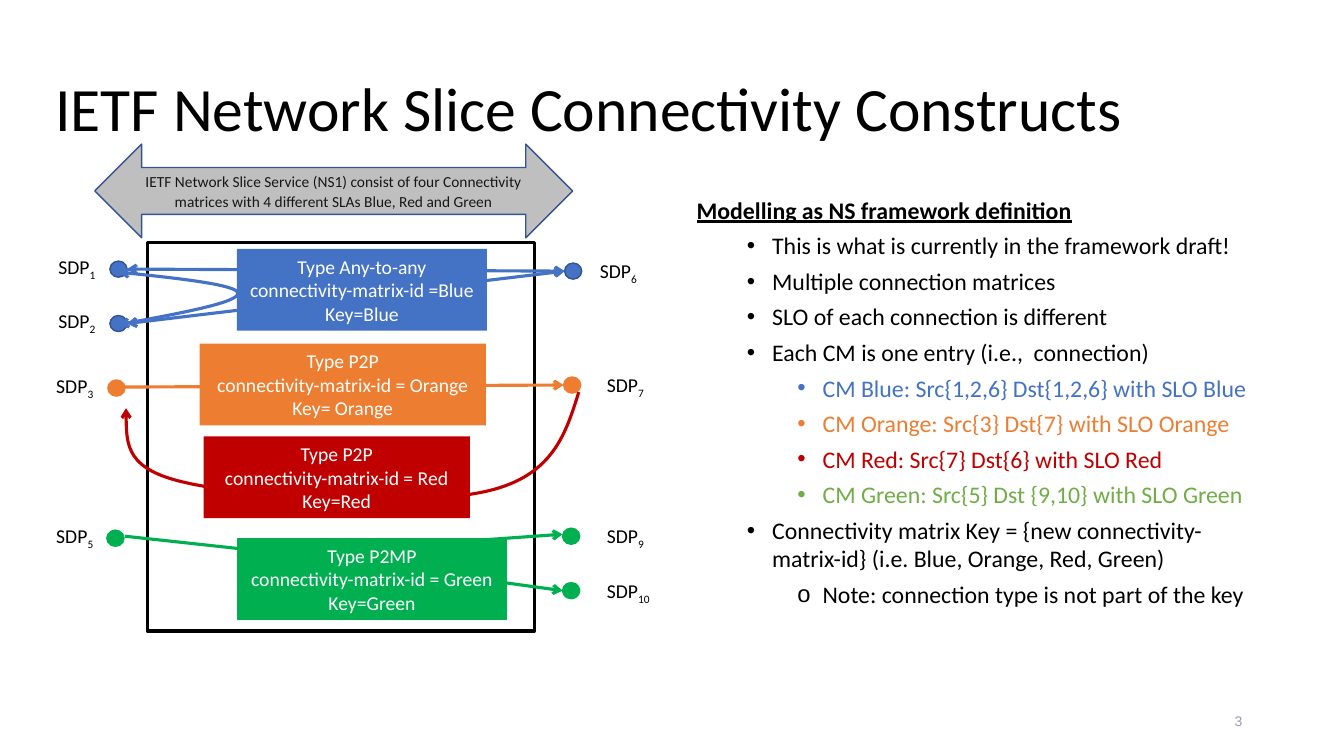
import pptx
import pptx.util
import pptx.dml.color
import pptx.enum.shapes
import pptx.enum.text
import pptx.oxml
import pptx.oxml.ns

Inches, Pt = pptx.util.Inches, pptx.util.Pt
SHAPE = pptx.enum.shapes.MSO_SHAPE
ALIGN = pptx.enum.text.PP_ALIGN
ANCHOR = pptx.enum.text.MSO_ANCHOR
qn = pptx.oxml.ns.qn

COLORS = {
    "black": "000000", "white": "FFFFFF", "number": "969EB3",
    "arrow": "BFBFBF", "arrow text": "181717", "navy": "325491",
    "blue": "4472C4", "orange": "ED7D31", "red": "C00000",
    "green": "00B050", "light green": "70AD47",
}
TITLE = "IETF Network Slice Connectivity Constructs"
SERVICE = ("IETF Network Slice Service (NS1) consist of four Connectivity "
           "matrices with 4 different SLAs Blue, Red and Green")
PAGE = "3"
HEADING = "Modelling as NS framework definition"
BULLETS = [
    (1, "•", "black", "This is what is currently in the framework draft!"),
    (1, "•", "black", "Multiple connection matrices"),
    (1, "•", "black", "SLO of each connection is different"),
    (1, "•", "black", "Each CM is one entry (i.e.,  connection)"),
    (2, "•", "blue", "CM Blue: Src{1,2,6} Dst{1,2,6} with SLO Blue"),
    (2, "•", "orange", "CM Orange: Src{3} Dst{7} with SLO Orange"),
    (2, "•", "red", "CM Red: Src{7} Dst{6} with SLO Red"),
    (2, "•", "light green", "CM Green: Src{5} Dst {9,10} with SLO Green"),
    (1, "•", "black", "Connectivity matrix Key = {new connectivity-matrix-id} "
                      "(i.e. Blue, Orange, Red, Green)"),
    (2, "o", "black", "Note: connection type is not part of the key"),
]
SDPS = [
    ("1", "blue", "navy", 1.09, 2.59, 0.48),
    ("2", "blue", "navy", 1.09, 3.13, 0.48),
    ("3", "orange", "orange", 1.07, 3.77, 0.46),
    ("7", "orange", "orange", 5.59, 3.74, 5.92),
    ("6", "blue", "navy", 5.6, 2.61, 5.85),
    ("5", "green", "green", 1.06, 5.26, 0.46),
    ("9", "green", "green", 5.58, 5.24, 5.92),
    ("10", "green", "green", 5.58, 5.78, 5.92),
]
LINKS = [
    ("blue", (1.26, 2.67), (5.6, 2.69), ("headEnd", "tailEnd")),
    ("blue", (1.26, 3.21), (5.6, 2.69), ("headEnd", "tailEnd")),
    ("orange", (1.24, 3.84), (5.59, 3.82), ("tailEnd",)),
    ("green", (2.9, 5.49), (5.58, 5.3), ("tailEnd",)),
    ("green", (2.9, 5.49), (5.58, 5.86), ("tailEnd",)),
    ("green", (1.24, 5.32), (2.9, 5.5), ()),
]
RED_CURVE = [(5.74, 3.89), (5.61, 4.31), (5.48, 4.72), (4.84, 4.87),
             (4.19, 5.03), (2.45, 4.93), (1.85, 4.79),
             (1.25, 4.66), (1.25, 4.35), (1.25, 4.05)]
BLUE_CURVE = [(1.18, 3.22), (1.77, 3.11), (2.36, 3), (2.36, 2.91),
              (2.36, 2.83), (1.77, 2.76), (1.18, 2.7)]
MATRICES = [
    ("blue", None, 2.35, 2.47, 2.48,
     ["Type Any-to-any", "connectivity-matrix-id =Blue", "Key=Blue"]),
    ("orange", None, 1.98, 3.41, 2.84,
     ["Type P2P", "connectivity-matrix-id = Orange", "Key= Orange"]),
    ("green", "green", 2.36, 5.34, 2.66,
     ["Type P2MP", "connectivity-matrix-id = Green", "Key=Green"]),
    ("red", None, 2.02, 4.33, 2.64,
     ["Type P2P", "connectivity-matrix-id = Red", "Key=Red"]),
]

prs = pptx.Presentation()
prs.slide_width, prs.slide_height = Inches(13.33), Inches(7.5)
slide = prs.slides.add_slide(prs.slide_layouts[6])


def rgb(name):
    return pptx.dml.color.RGBColor.from_string(COLORS[name])


def add_run(p, text, size, color, font="Calibri"):
    r = p.add_run()
    r.text = text
    r.font.size, r.font.name = Pt(size), font
    r.font.color.rgb = rgb(color)
    return r


def add_box(shapes, *at):
    s = shapes.add_textbox(*map(Inches, at))
    s.text_frame.word_wrap = True
    return s.text_frame


def style(s, fill, line, width):
    s.shadow.inherit = False
    if fill:
        s.fill.solid()
        s.fill.fore_color.rgb = rgb(fill)
    else:
        s.fill.background()
    if line:
        s.line.color.rgb = rgb(line)
        s.line.width = Pt(width)
    else:
        s.line.fill.background()


def add_shape(shapes, kind, at, fill, line=None, width=1):
    s = shapes.add_shape(kind, *map(Inches, at))
    style(s, fill, line, width)
    return s


def add_arrowheads(s, ends):
    for end in ends:
        s.line._get_or_add_ln().append(
            pptx.oxml.parse_xml('<a:%s %s type="arrow"/>' % (end, pptx.oxml.ns.nsdecls("a"))))


def add_curve(points, color, ends):
    points = [(Inches(x), Inches(y)) for x, y in points]
    builder = slide.shapes.build_freeform(*points[0])
    builder.add_line_segments(points[1:], close=False)
    s = builder.convert_to_shape()
    style(s, None, color, 2.25)
    steps = list(s._element.iter(qn("a:lnTo")))
    for i in range(0, len(steps), 3):
        bezier = steps[i].makeelement(qn("a:cubicBezTo"), {})
        steps[i].addprevious(bezier)
        for step in steps[i:i + 3]:
            bezier.append(step[0])
            step.getparent().remove(step)
    add_arrowheads(s, ends)


def add_bullet(p, level, mark):
    p.level = level
    pPr = p._p.get_or_add_pPr()
    pPr.set("marL", str(Inches(0.25 + 0.5 * level)))
    pPr.set("indent", str(Inches(-0.25)))
    for tag, key, value in (("buFont", "typeface", "Arial"), ("buChar", "char", mark)):
        pPr.append(pPr.makeelement(qn("a:" + tag), {key: value}))


tf = add_box(slide.shapes, 9.42, 6.95, 3, 0.4)
tf.vertical_anchor = ANCHOR.MIDDLE
tf.paragraphs[0].alignment = ALIGN.RIGHT
add_run(tf.paragraphs[0], PAGE, 10, "number", "Arial")

tf = add_box(slide.shapes, 0.45, 0.67, 12.31, 0.88)
tf.vertical_anchor = ANCHOR.MIDDLE
tf.paragraphs[0].line_spacing = 0.9
add_run(tf.paragraphs[0], TITLE, 44, "black")

s = add_shape(slide.shapes, SHAPE.LEFT_RIGHT_ARROW, (0.94, 1.43, 4.74, 0.93), "arrow", "navy")
p = s.text_frame.paragraphs[0]
p.alignment, p.line_spacing = ALIGN.CENTER, Pt(14)
add_run(p, SERVICE, 11, "arrow text")

add_shape(slide.shapes, SHAPE.RECTANGLE, (1.46, 2.41, 3.84, 3.85), None, "black", 2.25)

for number, fill, line, x, y, label_x in SDPS:
    group = slide.shapes.add_group_shape()
    add_shape(group.shapes, SHAPE.OVAL, (x, y, 0.17, 0.16), fill, line)
    on_left = label_x < x
    tf = add_box(group.shapes, label_x, y - (0.11 if on_left else 0.09),
                 0.63 if on_left else 0.88, 0.34)
    tf.margin_right = 0
    add_run(tf.paragraphs[0], "SDP", 14, "black")
    r = add_run(tf.paragraphs[0], number, 14, "black")
    r.font._element.set("baseline", "-25000")

for color, start, end, ends in LINKS:
    s = slide.shapes.add_connector(pptx.enum.shapes.MSO_CONNECTOR.STRAIGHT,
                                   *map(Inches, start + end))
    s.line.color.rgb = rgb(color)
    s.line.width = Pt(2.25)
    add_arrowheads(s, ends)
    spPr = s._element.spPr
    spPr.append(spPr.makeelement(qn("a:effectLst"), {}))

add_curve(RED_CURVE, "red", ("tailEnd",))
for color, outline, x, y, width, lines in MATRICES:
    s = add_shape(slide.shapes, SHAPE.RECTANGLE, (x, y, width, 0.81), color, outline, 0.75)
    tf = s.text_frame
    for i, line in enumerate(lines):
        p = tf.add_paragraph() if i else tf.paragraphs[0]
        p.alignment = ALIGN.CENTER
        add_run(p, line, 14, "white")
add_curve(BLUE_CURVE, "blue", ("headEnd", "tailEnd"))

tf = add_box(slide.shapes, 6.81, 1.89, 5.72, 4.91)
tf.paragraphs[0].space_before = Pt(10)
r = add_run(tf.paragraphs[0], HEADING, 17, "black")
r.font.bold = r.font.underline = True
for level, mark, color, text in BULLETS:
    p = tf.add_paragraph()
    p.space_before = Pt(5)
    add_bullet(p, level, mark)
    add_run(p, text, 17, color)

prs.save("out.pptx")
